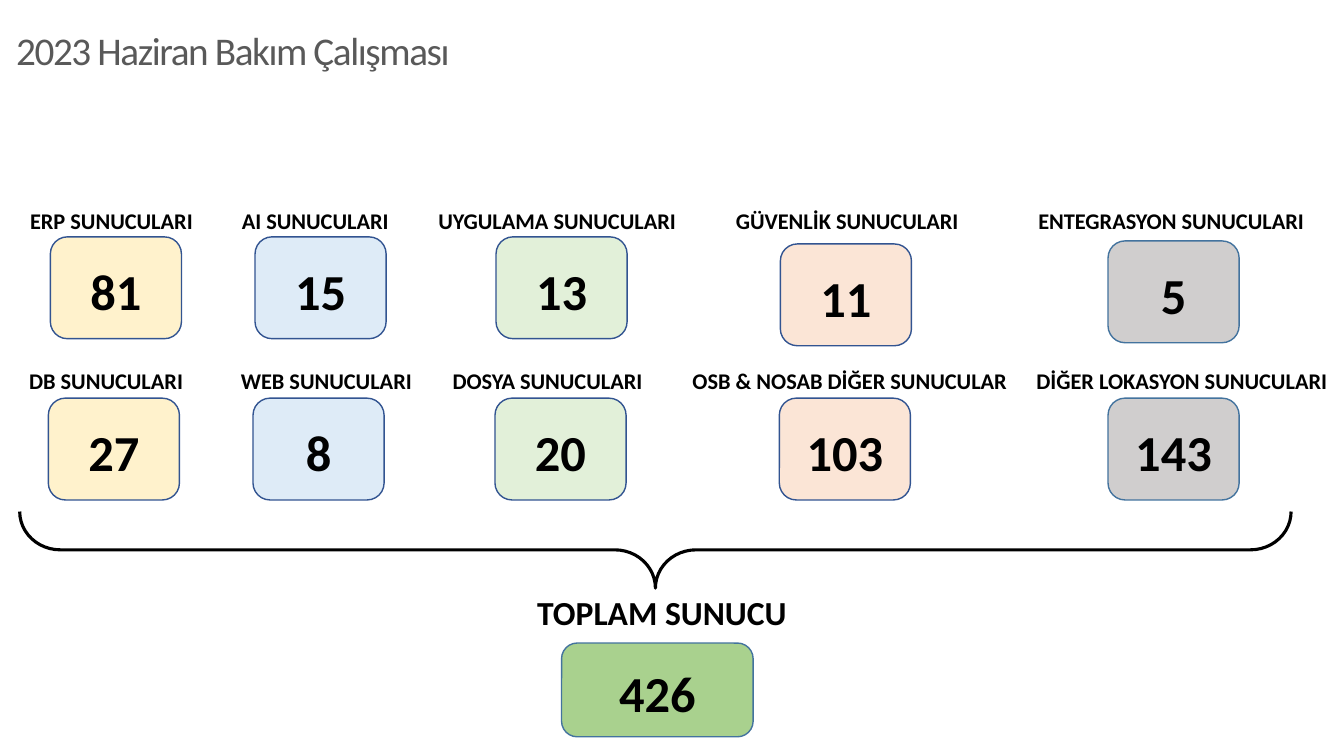
"""Builds the June 2023 maintenance slide with server counts by group."""
import pptx
import pptx.dml.color
import pptx.enum.shapes
import pptx.enum.text
import pptx.util
from lxml import etree

Inches, Pt = pptx.util.Inches, pptx.util.Pt
RGBColor = pptx.dml.color.RGBColor
SHAPES = pptx.enum.shapes.MSO_SHAPE
ALIGN = pptx.enum.text.PP_ALIGN
ANCHOR = pptx.enum.text.MSO_ANCHOR

BLACK = RGBColor(0x00, 0x00, 0x00)
GREY = RGBColor(0x59, 0x59, 0x59)
NAVY = RGBColor(0x32, 0x54, 0x91)
STEEL = RGBColor(0x43, 0x73, 0x9E)
CREAM = RGBColor(0xFF, 0xF2, 0xCC)
SKY = RGBColor(0xDE, 0xEB, 0xF7)
MINT = RGBColor(0xE2, 0xF0, 0xD9)
PEACH = RGBColor(0xFB, 0xE5, 0xD6)
SILVER = RGBColor(0xD0, 0xCE, 0xCE)
GREEN = RGBColor(0xA9, 0xD1, 0x8E)

TITLE = "2023 Haziran Bakım Çalışması"
TOTAL = ("TOPLAM SUNUCU", "426")
COLUMN_COLORS = [(CREAM, NAVY), (SKY, NAVY), (MINT, NAVY), (PEACH, NAVY), (SILVER, STEEL)]
SERVER_ROWS = [
    {"heading_at": (0.2, 1.99), "tabs": (2.1, 4.05, 7.0, 10.0), "groups": [
        ("ERP SUNUCULARI", "81", 0.5, 2.35),
        ("AI SUNUCULARI", "15", 2.53, 2.35),
        ("UYGULAMA SUNUCULARI", "13", 4.92, 2.35),
        ("GÜVENLİK SUNUCULARI", "11", 7.74, 2.42),
        ("ENTEGRASYON SUNUCULARI", "5", 10.99, 2.39)]},
    {"heading_at": (0.19, 3.57), "tabs": (2.1, 4.2, 6.58, 9.99), "groups": [
        ("DB SUNUCULARI", "27", 0.48, 3.95),
        ("WEB SUNUCULARI", "8", 2.51, 3.95),
        ("DOSYA SUNUCULARI", "20", 4.91, 3.95),
        ("OSB & NOSAB DİĞER SUNUCULAR", "103", 7.73, 3.95),
        ("DİĞER LOKASYON SUNUCULARI", "143", 10.99, 3.95)]},
]
CARD_SIZE = (1.3, 1.01)


def write(frame, text, size, color=BLACK, bold=True, line_spacing=1.07, after=8, align=ALIGN.LEFT):
    frame.word_wrap = True
    paragraph = frame.paragraphs[0]
    for name, value in {"line_spacing": line_spacing, "space_after": Pt(after), "alignment": align}.items():
        setattr(paragraph, name, value)
    run = paragraph.add_run()
    run.text = text
    for name, value in {"name": "Calibri", "size": Pt(size), "bold": bold}.items():
        setattr(run.font, name, value)
    run.font.color.rgb = color
    return paragraph


def add_text(slide, box, text, size, **style):
    frame = slide.shapes.add_textbox(*map(Inches, box)).text_frame
    return frame, write(frame, text, size, **style)


def add_card(slide, box, value, fill, outline):
    card = slide.shapes.add_shape(SHAPES.ROUNDED_RECTANGLE, *map(Inches, box))
    card.shadow.inherit = False
    card.fill.solid()
    card.fill.fore_color.rgb = fill
    card.line.color.rgb = outline
    card.line.width = Pt(1)
    card.text_frame.vertical_anchor = ANCHOR.MIDDLE
    write(card.text_frame, value, 36, align=ALIGN.CENTER)


def add_tabs(paragraph, stops):
    namespace = "{http://schemas.openxmlformats.org/drawingml/2006/main}"
    tab_list = etree.SubElement(paragraph._p.get_or_add_pPr(), namespace + "tabLst")
    for stop in stops:
        etree.SubElement(tab_list, namespace + "tab", pos=str(int(Inches(stop))), algn="l")


def main():
    deck = pptx.Presentation()
    deck.slide_width, deck.slide_height = Inches(13.33), Inches(7.5)
    slide = deck.slides.add_slide(deck.slide_layouts[6])

    title_frame, title = add_text(slide, (0, 0.16, 11.78, 0.73), TITLE, 28, color=GREY,
                                  bold=False, line_spacing=0.9, after=0)
    title_frame.vertical_anchor = ANCHOR.MIDDLE
    for side, inset in {"left": 0.16, "right": 0.16, "top": 0.1, "bottom": 0.1}.items():
        setattr(title_frame, "margin_" + side, Inches(inset))
    title.runs[0].font._element.set("spc", "-100")

    for row in SERVER_ROWS:
        headings = "\t".join(group[0] for group in row["groups"])
        heading_frame, heading = add_text(slide, (*row["heading_at"], 13.13, 0.38), headings, 16)
        heading_frame.margin_right = 0
        add_tabs(heading, row["tabs"])
        for (_, count, left, top), colors in zip(row["groups"], COLUMN_COLORS):
            add_card(slide, (left, top, *CARD_SIZE), count, *colors)

    add_text(slide, (5.23, 5.79, 2.86, 0.51), TOTAL[0], 24)
    add_card(slide, (5.57, 6.38, 1.9, 0.93), TOTAL[1], GREEN, STEEL)

    brace = slide.shapes.add_shape(SHAPES.RIGHT_BRACE, *map(Inches, (6.12, -0.85, 0.76, 12.61)))
    brace.rotation = 90
    brace.adjustments[0], brace.adjustments[1] = 0.53, 0.5
    brace.shadow.inherit = False
    brace.fill.background()
    brace.line.color.rgb = BLACK
    brace.line.width = Pt(2.25)

    deck.save("out.pptx")


if __name__ == "__main__":
    main()
